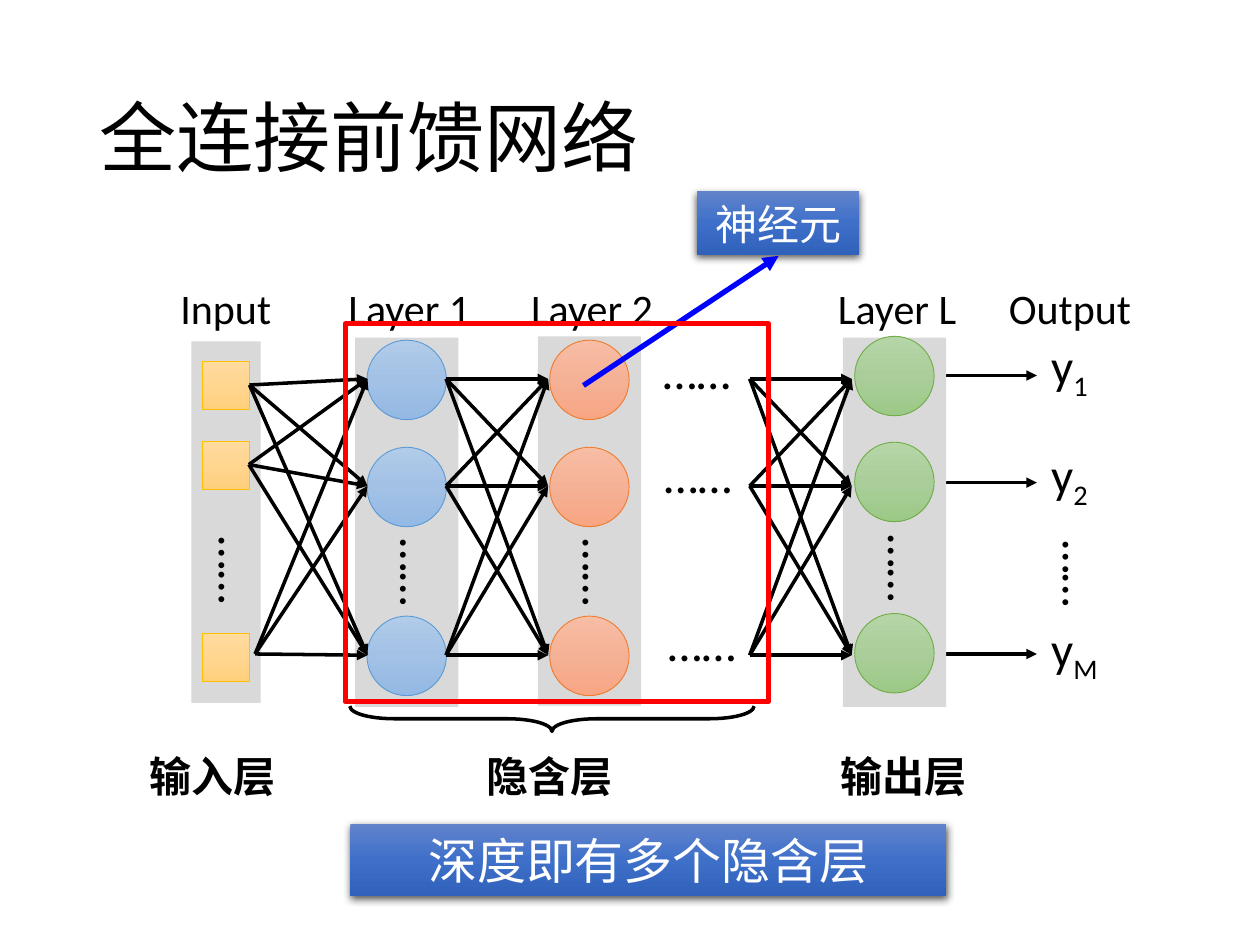
from copy import deepcopy
from itertools import product

from lxml import etree
from pptx import Presentation
from pptx.dml.color import RGBColor
from pptx.enum.shapes import MSO_CONNECTOR, MSO_SHAPE
from pptx.enum.text import MSO_ANCHOR, MSO_AUTO_SIZE, PP_ALIGN
from pptx.oxml.ns import qn
from pptx.util import Pt

LEFT, CENTER = PP_ALIGN.LEFT, PP_ALIGN.CENTER
MIDDLE = MSO_ANCHOR.MIDDLE
GROW, NO_FIT = MSO_AUTO_SIZE.SHAPE_TO_FIT_TEXT, MSO_AUTO_SIZE.NONE
STRAIGHT = MSO_CONNECTOR.STRAIGHT
RECT, OVAL, BRACE = MSO_SHAPE.RECTANGLE, MSO_SHAPE.OVAL, MSO_SHAPE.RIGHT_BRACE

FONT = "Calibri"
DOTS = "……"
COLORS = {"black": "000000", "white": "FFFFFF", "bar": "D9D9D9",
          "pointer": "0000FF", "frame": "FF0000",
          "gold": "FFC000", "blue": "5B9BD5", "orange": "ED7D31", "green": "70AD47"}
GRADIENTS = {"gold": ("FFDB9E", "FFD590", "FFD07C"),
             "blue": ("B1CBE9", "A3C1E5", "93B9E4"),
             "orange": ("F7BDA5", "F5B196", "F8A582"),
             "green": ("B5D5A7", "AACE9A", "9CC987"),
             "banner": ("6183CB", "3E70CA", "3062BB")}


def rgb(name):
    return RGBColor.from_string(COLORS[name])


def pts(*values):
    return [Pt(v) for v in values]


def write(tf, text, size=24, color="black", bold=False, align=CENTER, sub=""):
    p = tf.paragraphs[0]
    p.alignment = align
    for part in filter(None, (text, sub)):
        r = p.add_run()
        r.text = part
        r.font.name, r.font.size, r.font.bold = FONT, Pt(size), bold
        r.font.color.rgb = rgb(color)
    if sub:
        r._r.get_or_add_rPr().set("baseline", "-25000")
    return p


def label(shapes, box, text, rotation=0, **fmt):
    sp = shapes.add_textbox(*pts(*box))
    sp.rotation = rotation
    sp.text_frame.word_wrap = True
    sp.text_frame.auto_size = GROW
    write(sp.text_frame, text, **fmt)


def dots(shapes, x, y, rotation=0):
    label(shapes, (x, y, 60.5, 41), DOTS, rotation, size=28)


def shape(shapes, kind, box, fill=None, gradient=None, line=None, width=0.5):
    sp = shapes.add_shape(kind, *pts(*box))
    sp.shadow.inherit = False
    if gradient:
        sp.fill.gradient()
        sp.fill.gradient_angle = 270
        stops = sp._element.spPr.find(".//" + qn("a:gsLst"))
        stops.append(deepcopy(stops[0]))
        for i, stop in enumerate(sp.fill.gradient_stops):
            stop.position = i / 2
            stop.color.rgb = RGBColor.from_string(GRADIENTS[gradient][i])
    elif fill:
        sp.fill.solid()
        sp.fill.fore_color.rgb = rgb(fill)
    else:
        sp.fill.background()
    if line:
        sp.line.color.rgb = rgb(line)
        sp.line.width = Pt(width)
    else:
        sp.line.fill.background()
    return sp


def arrow(shapes, start, end, color="black", width=2):
    c = shapes.add_connector(STRAIGHT, *pts(*start, *end))
    c.line.color.rgb = rgb(color)
    c.line.width = Pt(width)
    spPr = c._element.spPr
    etree.SubElement(spPr.find(qn("a:ln")), qn("a:tailEnd"), type="triangle")
    etree.SubElement(spPr, qn("a:effectLst"))


def links(shapes, starts, ends):
    """Join every start point to every end point."""
    for start, end in product(starts, ends):
        arrow(shapes, start, end)


def banner(shapes, box, text, size):
    sp = shape(shapes, RECT, box, gradient="banner")
    effects = sp._element.spPr.find(qn("a:effectLst"))
    shadow = etree.SubElement(effects, qn("a:outerShdw"), blurRad=str(Pt(4.5)),
                              dist=str(Pt(1.5)), dir="5400000", rotWithShape="0")
    black = etree.SubElement(shadow, qn("a:srgbClr"), val=COLORS["black"])
    etree.SubElement(black, qn("a:alpha"), val="63000")
    sp.text_frame.word_wrap = True
    sp.text_frame.vertical_anchor = MIDDLE
    write(sp.text_frame, text, size=size, color="white")


def title(s, box, text):
    sp = s.shapes.title
    sp.left, sp.top, sp.width, sp.height = pts(*box)
    tf = sp.text_frame
    tf.vertical_anchor, tf.auto_size = MIDDLE, NO_FIT
    write(tf, text, size=44, align=LEFT).line_spacing = 0.9


def input_layer(shapes, box):
    x, y, w, h = box
    shape(shapes, RECT, box, fill="bar")
    label(shapes, (x - 25, 157.7, 89.3, 36), "Input")
    for dy in (11.5, 57, 167):
        shape(shapes, RECT, (x + 6, y + dy, 27.4, 27.4), gradient="gold", line="gold")
    dots(shapes, x - 3.6, y + 110.2, 90)


def layer(s, box, name, color, node_tops):
    shapes = s.shapes.add_group_shape().shapes
    x, y, w, h = box
    shape(shapes, RECT, box, fill="bar")
    label(shapes, (x - 13.7, 157.7, 89.3, 36), name)
    for top in node_tops:
        shape(shapes, OVAL, (x + 6.7, top, 45.4, 45.4), gradient=color, line=color)
    dots(shapes, x + 6.5, node_tops[0] + 112.3, 90)


def outputs(shapes, box):
    x, y, w, h = box
    label(shapes, (x - 26.8, 157.7, 89.3, 36), "Output")
    for sub, dy in (("1", 0), ("2", 62.6), ("M", 162)):
        label(shapes, (x, y + dy, w, 41), "y", size=28, align=LEFT, sub=sub)
    dots(shapes, x - 5.5, y + 119.5, 90)


def main():
    prs = Presentation()
    prs.slide_width, prs.slide_height = pts(720, 540)
    s = prs.slides.add_slide(prs.slide_layouts[5])
    shapes = s.shapes
    title(s, (49.7, 28.8, 620.6, 104.4), "全连接前馈网络")

    # Arrows to the outputs, partly behind the last layer
    for x, y in ((510.5, 214.6), (512, 275.8), (520.6, 373.7)):
        arrow(shapes, (x, y), (592.5, y))

    # Layers
    input_layer(shapes, (109.4, 195.1, 39.6, 206.6))
    hidden_tops = (194.4, 255.6, 352.1)
    layer(s, (203, 193, 59, 211), "Layer 1", "blue", hidden_tops)
    layer(s, (307.4, 192.2, 59, 211), "Layer 2", "orange", hidden_tops)
    layer(s, (481.7, 193, 59, 211), "Layer L", "green", (192.2, 252.7, 350.6))
    outputs(shapes, (593.6, 188, 49.7, 41))
    for x, y in ((367.9, 190.8), (368.6, 250.6), (370.8, 346.3)):
        dots(shapes, x, y)

    # Full connections between layers
    rows = (216.5, 277.7, 374.4)
    links(shapes, ((142.6, 220), (142.2, 265.5), (145.8, 373.7)),
          [(210, y) for y in rows])
    for x in (254.9, 428.4):
        links(s.shapes.add_group_shape().shapes,
              [(x, y) for y in rows], [(x + 58.3, y) for y in rows])

    # Names of the layer types
    for x, w, text in ((76.3, 90.7, "输入层"), (232.6, 162.7, "隐含层"),
                       (470.9, 91.4, "输出层")):
        label(shapes, (x, 425.5, w, 36), text, bold=True)
    brace = shape(shapes, BRACE, (308.2, 295.2, 14.4, 231.1), line="black", width=2)
    brace.rotation = 90
    brace.adjustments[0] = 1.76

    # Callouts and frame around the hidden layers
    banner(shapes, (200.2, 470.9, 340.6, 41), "深度即有多个隐含层", 28)
    banner(shapes, (398.2, 109.4, 92.9, 36.4), "神经元", 24)
    arrow(shapes, (333.4, 220.3), (445, 146.2), "pointer", 3)
    shape(shapes, RECT, (197.3, 185, 241.9, 216), line="frame", width=3)

    prs.save("out.pptx")


if __name__ == "__main__":
    main()
